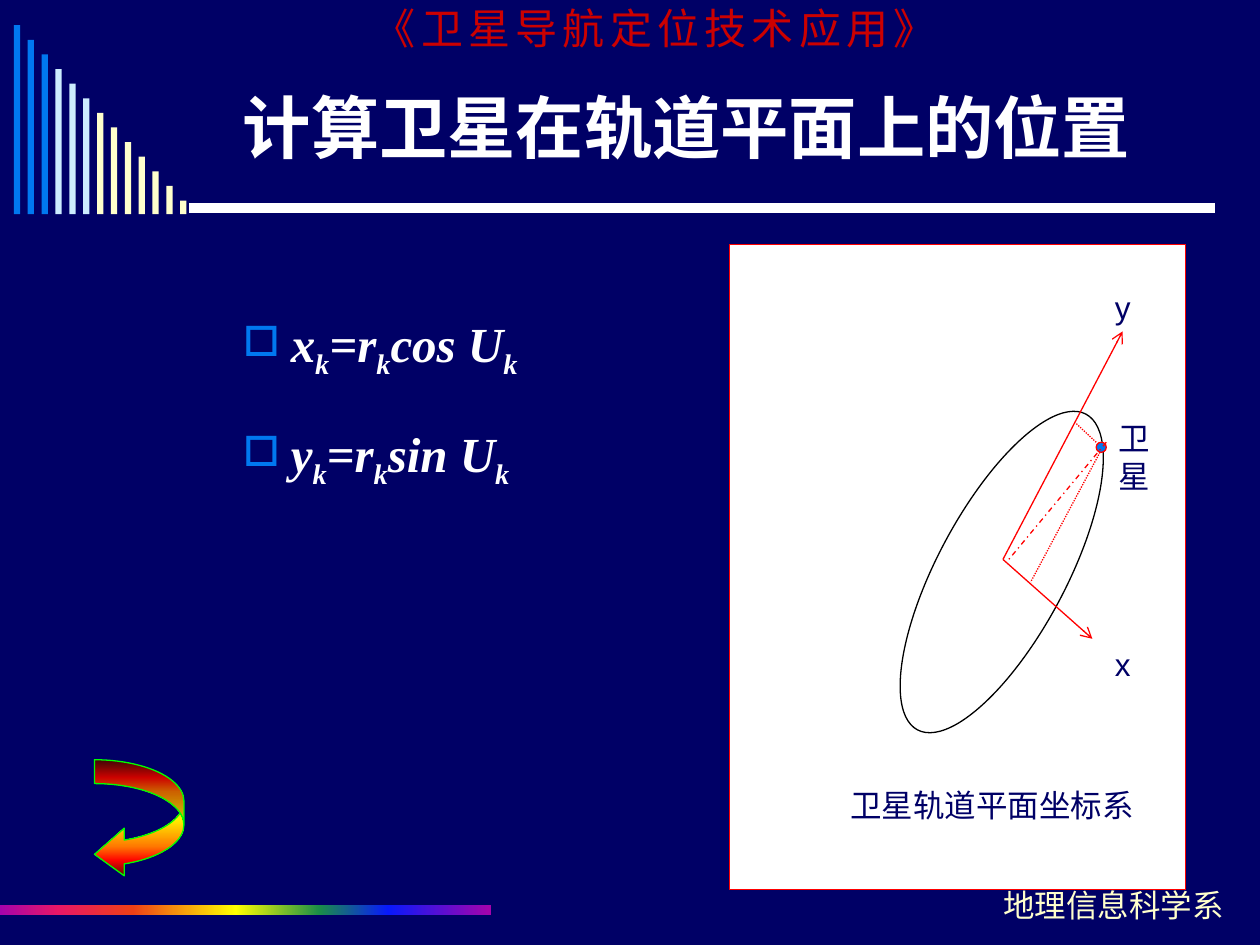
from dataclasses import dataclass
from typing import Optional

from lxml.etree import SubElement
from pptx import Presentation
from pptx.dml.color import RGBColor
from pptx.enum.dml import MSO_LINE_DASH_STYLE as Dash
from pptx.enum.shapes import MSO_CONNECTOR, MSO_SHAPE as Shape
from pptx.enum.text import MSO_ANCHOR as Anchor, PP_ALIGN as Align
from pptx.oxml import parse_xml
from pptx.oxml.ns import nsdecls, qn
from pptx.util import Inches, Pt


@dataclass(frozen=True)
class Theme:
    background: str = "000066"
    white: str = "FFFFFF"
    black: str = "000000"
    blue: str = "0078F0"
    pale_blue: str = "CCECFF"
    cream: str = "FFFFCC"
    red: str = "FF0000"
    course_red: str = "CC0000"
    green: str = "00FF00"
    sans: str = "Arial"
    serif: str = "Times New Roman"
    chinese: str = "Noto Sans CJK SC"
    title_size: float = 39
    formula_size: float = 28
    course_size: float = 24
    label_size: float = 18
    thin: float = 0.75
    rule: float = 6


@dataclass(frozen=True)
class Label:
    text: str
    box: tuple[float, float, float, float]
    color: str
    size: float
    font: str
    bold: bool = False
    align: Align = Align.LEFT
    anchor: Anchor = Anchor.TOP
    tracking: int = 0


@dataclass(frozen=True)
class Segment:
    start: tuple[float, float]
    end: tuple[float, float]
    color: str
    width: float
    dash: Optional[Dash] = None
    arrow: bool = False


THEME = Theme()
RAINBOW = [(0, "A603AB"), (12, "E81766"), (27, "EE3F17"), (48, "FFFF00"),
           (65, "1A8D48"), (79, "0819FB"), (100, "A603AB")]
FLAME = [(0, "4D0808"), (15, "FF0300"), (27, "FF7A00"), (50, "FFF200"),
         (73, "FF7A00"), (85, "FF0300"), (100, "4D0808")]
BAR_COLORS = [THEME.blue] * 3 + [THEME.pale_blue] * 3 + [THEME.cream] * 7
FORMULAS = [("x", "k", "=r", "k", "cos U", "k"),
            ("y", "k", "=r", "k", "sin U", "k")]


def rgb(color: str) -> RGBColor:
    return RGBColor.from_string(color)


def add_figure(slide, kind: Shape, box, fill: Optional[str] = None,
               outline: Optional[str] = None):
    figure = slide.shapes.add_shape(kind, *map(Inches, box))
    figure.shadow.inherit = False
    if fill:
        figure.fill.solid()
        figure.fill.fore_color.rgb = rgb(fill)
    else:
        figure.fill.background()
    if outline:
        figure.line.color.rgb = rgb(outline)
        figure.line.width = Pt(THEME.thin)
    else:
        figure.line.fill.background()
    return figure


def set_gradient(figure, stops: list[tuple[int, str]], degrees: int) -> None:
    """Replace the empty fill with a linear gradient, angle clockwise."""
    marks = "".join(f'<a:gs pos="{pos * 1000}"><a:srgbClr val="{color}"/></a:gs>'
                    for pos, color in stops)
    gradient = parse_xml(f'<a:gradFill {nsdecls("a")}><a:gsLst>{marks}</a:gsLst>'
                         f'<a:lin ang="{degrees * 60000}" scaled="0"/></a:gradFill>')
    properties = figure._element.spPr
    properties.replace(properties.find(qn("a:noFill")), gradient)


def add_segment(slide, segment: Segment) -> None:
    ends = map(Inches, segment.start + segment.end)
    connector = slide.shapes.add_connector(MSO_CONNECTOR.STRAIGHT, *ends)
    connector.line.color.rgb = rgb(segment.color)
    connector.line.width = Pt(segment.width)
    if segment.dash:
        connector.line.dash_style = segment.dash
    if segment.arrow:
        SubElement(connector.line._get_or_add_ln(), qn("a:tailEnd"), type="arrow")
    SubElement(connector._element.spPr, qn("a:effectLst"))


def add_frame(slide, box):
    frame = slide.shapes.add_textbox(*map(Inches, box)).text_frame
    frame.word_wrap = True
    return frame


def add_label(slide, label: Label) -> None:
    frame = add_frame(slide, label.box)
    frame.vertical_anchor = label.anchor
    frame.text = label.text
    paragraph = frame.paragraphs[0]
    paragraph.alignment = label.align
    run = paragraph.runs[0]
    run.font.name = label.font
    run.font.size = Pt(label.size)
    run.font.bold = label.bold
    run.font.color.rgb = rgb(label.color)
    properties = run._r.get_or_add_rPr()
    if label.tracking:
        properties.set("spc", str(label.tracking * 100))
    east_asian = properties.makeelement(qn("a:ea"), typeface=THEME.chinese)
    properties.find(qn("a:latin")).addnext(east_asian)


def add_bullet(paragraph) -> None:
    properties = paragraph._p.get_or_add_pPr()
    properties.set("marL", str(Inches(0.38)))
    properties.set("indent", str(-Inches(0.38)))
    color = SubElement(properties, qn("a:buClr"))
    SubElement(color, qn("a:srgbClr"), val=THEME.blue)
    SubElement(properties, qn("a:buSzPct"), val="85000")
    SubElement(properties, qn("a:buChar"), char="□")


def add_formulas(slide) -> None:
    """Write each formula as a bullet whose every second part is a subscript."""
    frame = add_frame(slide, (1.83, 2.17, 7.67, 4.5))
    for row, parts in enumerate(FORMULAS):
        paragraph = frame.add_paragraph() if row else frame.paragraphs[0]
        add_bullet(paragraph)
        paragraph.line_spacing = 1.5
        if row:
            paragraph.space_before = Pt(0.2 * THEME.formula_size)
        for index, part in enumerate(parts):
            run = paragraph.add_run()
            run.text = part
            run.font.name = THEME.serif
            run.font.size = Pt(THEME.formula_size)
            run.font.bold = run.font.italic = True
            run.font.color.rgb = rgb(THEME.white)
            if index % 2:
                run._r.get_or_add_rPr().set("baseline", "-25000")


def add_decoration(slide) -> None:
    add_segment(slide, Segment((1.5, 1.65), (9.64, 1.65), THEME.white, THEME.rule))
    for index, color in enumerate(BAR_COLORS):
        top = 0.2 + index * 0.116
        add_figure(slide, Shape.RECTANGLE,
                   (0.11 + index * 0.11, top, 0.05, 1.7 - top), color)
    rainbow = add_figure(slide, Shape.RECTANGLE, (0, 7.18, 3.9, 0.08))
    set_gradient(rainbow, RAINBOW, 0)


def add_orbit_diagram(slide) -> None:
    add_figure(slide, Shape.RECTANGLE, (5.79, 1.94, 3.62, 5.12), THEME.white, THEME.red)
    orbit = add_figure(slide, Shape.OVAL, (7.44, 3.12, 1.02, 2.84), outline=THEME.black)
    orbit.rotation = 28.1
    add_figure(slide, Shape.OVAL, (8.7, 3.51, 0.08, 0.08), THEME.blue, THEME.red)
    center = (7.96, 4.44)
    red, thin = THEME.red, THEME.thin
    for segment in (
        Segment((8.78, 3.51), (7.99, 4.46), red, thin, Dash.DASH_DOT),
        Segment(center, (8.67, 5.07), red, thin, arrow=True),
        Segment(center, (8.91, 2.63), red, thin, arrow=True),
        Segment((8.73, 3.59), (8.18, 4.62), red, thin, Dash.ROUND_DOT),
        Segment((8.7, 3.51), (8.54, 3.36), red, thin, Dash.ROUND_DOT),
    ):
        add_segment(slide, segment)
    for text, box in (("x", (8.75, 5.07, 0.39, 0.4)),
                      ("y", (8.75, 2.24, 0.39, 0.4)),
                      ("卫星", (8.78, 3.28, 0.63, 0.7)),
                      ("卫星轨道平面坐标系", (6.65, 6.19, 2.52, 0.4))):
        add_label(slide, Label(text, box, THEME.background, THEME.label_size, THEME.sans))


def main() -> None:
    deck = Presentation()
    deck.slide_width, deck.slide_height = Inches(10), Inches(7.5)
    slide = deck.slides.add_slide(deck.slide_layouts[6])
    slide.background.fill.solid()
    slide.background.fill.fore_color.rgb = rgb(THEME.background)
    add_decoration(slide)
    add_label(slide, Label("地理信息科学系", (3.9, 6.98, 5.91, 0.4), THEME.cream,
                           THEME.label_size, THEME.sans, align=Align.RIGHT))
    add_label(slide, Label("《卫星导航定位技术应用》", (2.87, -0.03, 6.07, 0.5),
                           THEME.course_red, THEME.course_size, THEME.chinese, tracking=3))
    add_label(slide, Label("计算卫星在轨道平面上的位置", (1.83, 0.47, 7.67, 1.07), THEME.white,
                           THEME.title_size, THEME.sans, bold=True, anchor=Anchor.MIDDLE))
    add_formulas(slide)
    add_orbit_diagram(slide)
    back_arrow = add_figure(slide, Shape.CURVED_LEFT_ARROW, (0.75, 6.03, 0.71, 0.94),
                            outline=THEME.green)
    for index, ratio in enumerate((0.267, 0.533, 0.333)):
        back_arrow.adjustments[index] = ratio
    set_gradient(back_arrow, FLAME, 90)
    deck.save("out.pptx")


if __name__ == "__main__":
    main()
